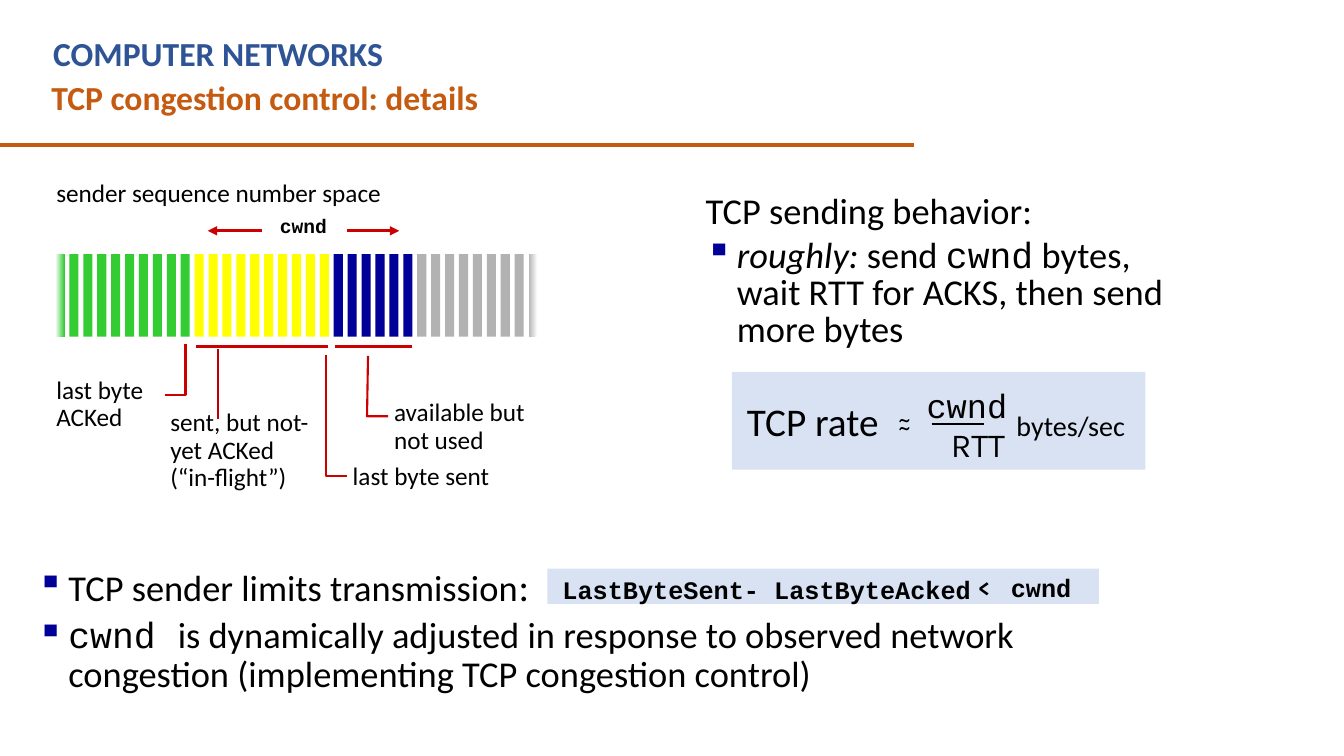
import pptx
import pptx.util
import pptx.dml.color
import pptx.enum.shapes
import pptx.enum.text
import pptx.oxml
import pptx.oxml.ns
import lxml.etree

Inches = pptx.util.Inches
Pt = pptx.util.Pt
RGBColor = pptx.dml.color.RGBColor
ALIGN = pptx.enum.text.PP_ALIGN
TOP = pptx.enum.text.MSO_ANCHOR.TOP
RECT = pptx.enum.shapes.MSO_SHAPE.RECTANGLE
STRAIGHT = pptx.enum.shapes.MSO_CONNECTOR.STRAIGHT
qn = pptx.oxml.ns.qn

BLACK = RGBColor(0x00, 0x00, 0x00)
WHITE = RGBColor(0xFF, 0xFF, 0xFF)
BLUE = RGBColor(0x2F, 0x54, 0x96)
RUST = RGBColor(0xC5, 0x5A, 0x11)
PALE = RGBColor(0xD8, 0xE2, 0xF3)
NAVY = RGBColor(0x00, 0x00, 0x99)
RED = RGBColor(0xCC, 0x00, 0x00)
DARK_RED = RGBColor(0xC0, 0x00, 0x00)
GREEN = RGBColor(0x33, 0xCC, 0x33)
YELLOW = RGBColor(0xFF, 0xFF, 0x00)
GRAY = RGBColor(0xB2, 0xB2, 0xB2)

SANS = "Calibri"
MONO = "Courier New"
KARLA = "Karla"


def add_run(para, text, size, font=SANS, color=BLACK, bold=False, slant=False):
    run = para.add_run()
    run.text = text
    run.font.name = font
    run.font.size = Pt(size)
    run.font.color.rgb = color
    run.font.bold = bold
    run.font.italic = slant


def add_box(slide, left, top, width, height):
    box = slide.shapes.add_textbox(
        Inches(left), Inches(top), Inches(width), Inches(height))
    box.text_frame.word_wrap = True
    return box.text_frame


def add_label(slide, place, lines, size, font=SANS, color=BLACK,
              bold=False, align=ALIGN.LEFT, space=1.0):
    frame = add_box(slide, *place)
    for index, text in enumerate(lines):
        para = frame.add_paragraph() if index else frame.paragraphs[0]
        para.alignment = align
        para.line_spacing = space
        add_run(para, text, size, font, color, bold)


def add_bullet(para):
    props = para._p.get_or_add_pPr()
    tint = lxml.etree.SubElement(props, qn("a:buClr"))
    lxml.etree.SubElement(tint, qn("a:srgbClr"), val=str(NAVY))
    lxml.etree.SubElement(props, qn("a:buChar"), char="▪")


def add_list(slide, place, items, space):
    frame = add_box(slide, *place)
    for index, (mark, runs) in enumerate(items):
        para = frame.add_paragraph() if index else frame.paragraphs[0]
        props = para._p.get_or_add_pPr()
        props.set("marL", str(Inches(0.31)))
        props.set("indent", str(Inches(-0.31)))
        if mark:
            add_bullet(para)
        para.line_spacing = space
        if index:
            para.space_before = Pt(5.2)
        for text, size, font, slant in runs:
            add_run(para, text, size, font, slant=slant)


def add_rect(slide, left, top, width, height, color, fade=None):
    rect = slide.shapes.add_shape(
        RECT, Inches(left), Inches(top), Inches(width), Inches(height))
    rect.shadow.inherit = False
    rect.line.fill.background()
    if fade:
        rect.fill.gradient()
        rect.fill.gradient_angle = 0
        for stop, tint in zip(rect.fill.gradient_stops, fade):
            stop.color.rgb = tint
    else:
        rect.fill.solid()
        rect.fill.fore_color.rgb = color


def add_line(slide, start, end, color, width, arrow=False):
    line = slide.shapes.add_connector(
        STRAIGHT, *[Inches(value) for value in start + end])
    line.line.color.rgb = color
    line.line.width = Pt(width)
    if arrow:
        lxml.etree.SubElement(
            line.line._get_or_add_ln(), qn("a:tailEnd"), type="triangle")
    lxml.etree.SubElement(line._element.spPr, qn("a:effectLst"))


def add_hook(slide, *points):
    spots = [(Inches(x), Inches(y)) for x, y in points]
    build = slide.shapes.build_freeform(*spots[0])
    build.add_line_segments(spots[1:], close=False)
    hook = build.convert_to_shape()
    hook.shadow.inherit = False
    hook.fill.background()
    hook.line.color.rgb = RED
    hook.line.width = Pt(1.5)


def add_head(slide):
    add_line(slide, (0, 1.44), (9.07, 1.44), RUST, 3)
    add_label(slide, (0.43, 0.28, 8.2, 0.5), ["COMPUTER NETWORKS"], 24,
              color=BLUE, bold=True)
    title = slide.shapes.title
    title.left, title.top = Inches(0.41), Inches(0.71)
    title.width, title.height = Inches(8.75), Inches(0.5)
    title.text_frame.vertical_anchor = TOP
    para = title.text_frame.paragraphs[0]
    para.alignment = ALIGN.LEFT
    add_run(para, "TCP congestion control: details", 24, color=RUST, bold=True)


def add_bytes(slide):
    colors = [GREEN] * 10 + [YELLOW] * 10 + [NAVY] * 6 + [GRAY] * 9
    fades = {0: (WHITE, GREEN), len(colors) - 1: (GRAY, WHITE)}
    for index, color in enumerate(colors):
        add_rect(slide, 0.55 + 0.138 * index, 2.52, 0.09, 0.82, color,
                 fades.get(index))
    add_label(slide, (0.46, 1.71, 3.52, 0.4),
              ["sender sequence number space"], 18)
    add_label(slide, (2.57, 2.1, 0.88, 0.31), ["cwnd"], 14, MONO, bold=True,
              align=ALIGN.CENTER, space=0.9)
    add_line(slide, (3.44, 2.29), (3.96, 2.29), RED, 2.25, arrow=True)
    add_line(slide, (2.6, 2.29), (2.06, 2.29), RED, 2.25, arrow=True)


def add_notes(slide):
    add_line(slide, (1.94, 3.44), (3.25, 3.44), RED, 2.25)
    add_line(slide, (3.32, 3.44), (4.09, 3.44), RED, 2.25)
    add_line(slide, (2.16, 3.46), (2.16, 4.16), DARK_RED, 1.5)
    add_hook(slide, (1.84, 3.41), (1.84, 3.92), (1.64, 3.92))
    add_hook(slide, (3.23, 3.52), (3.23, 4.72), (3.44, 4.72))
    add_hook(slide, (3.65, 3.53), (3.64, 4.13), (3.85, 4.13))
    for place, lines in [
        ((0.46, 3.7, 1.08, 0.65), ["last byte", "ACKed"]),
        ((1.59, 4.02, 1.82, 0.92), ["sent, but not-yet ACKed", "(“in-flight”)"]),
        ((3.4, 4.55, 1.75, 0.37), ["last byte sent"]),
        ((3.81, 3.92, 1.75, 0.65), ["available but not used"]),
    ]:
        add_label(slide, place, lines, 18, space=0.9)


def add_rate(slide):
    add_list(slide, (6.9, 1.88, 5.02, 2.68), [
        (False, [("TCP sending behavior:", 26, SANS, False)]),
        (True, [("roughly:", 26, SANS, True),
                (" send ", 26, SANS, False),
                ("cwnd", 26, MONO, False),
                (" bytes, wait RTT for ACKS, then send more bytes",
                 26, SANS, False)]),
    ], 0.85)
    add_rect(slide, 7.26, 3.69, 4.1, 0.97, PALE)
    for place, text, size, font in [
        ((7.3, 3.89, 1.52, 0.57), "TCP rate", 28, SANS),
        ((8.45, 3.95, 1.04, 0.52), "~", 18, KARLA),
        ((8.45, 4.03, 1.04, 0.52), "~", 18, KARLA),
        ((9.07, 3.77, 1.04, 0.52), "cwnd", 24, MONO),
        ((9.18, 4.16, 1.04, 0.52), "RTT", 24, KARLA),
        ((9.97, 4, 1.3, 0.44), "bytes/sec", 20, SANS),
    ]:
        add_label(slide, place, [text], size, font, align=ALIGN.CENTER)
    add_line(slide, (9.24, 4.21), (9.76, 4.21), BLACK, 1.5)


def add_limit(slide):
    add_rect(slide, 5.43, 5.64, 5.47, 0.35, PALE)
    add_list(slide, (0.27, 5.58, 10.2, 1.64), [
        (True, [("TCP sender limits transmission", 26, SANS, False),
                (":", 28, SANS, False)]),
        (True, [("cwnd ", 26, MONO, False),
                ("is dynamically adjusted in response to observed network "
                 "congestion (implementing TCP congestion control)",
                 26, SANS, False)]),
    ], 0.9)
    add_label(slide, (5.48, 5.69, 4.66, 0.36),
              ["LastByteSent- LastByteAcked"], 18, MONO, bold=True, space=0.85)
    add_label(slide, (9.51, 5.65, 0.5, 0.46), ["<"], 16, KARLA, bold=True,
              align=ALIGN.CENTER)
    add_label(slide, (9.88, 5.63, 0.89, 0.4), ["cwnd"], 18, MONO, bold=True,
              align=ALIGN.CENTER)


def main():
    deck = pptx.Presentation()
    deck.slide_width = Inches(13.33)
    deck.slide_height = Inches(7.5)
    slide = deck.slides.add_slide(deck.slide_layouts[5])
    add_head(slide)
    add_bytes(slide)
    add_notes(slide)
    add_rate(slide)
    add_limit(slide)
    deck.save("out.pptx")


if __name__ == "__main__":
    main()
